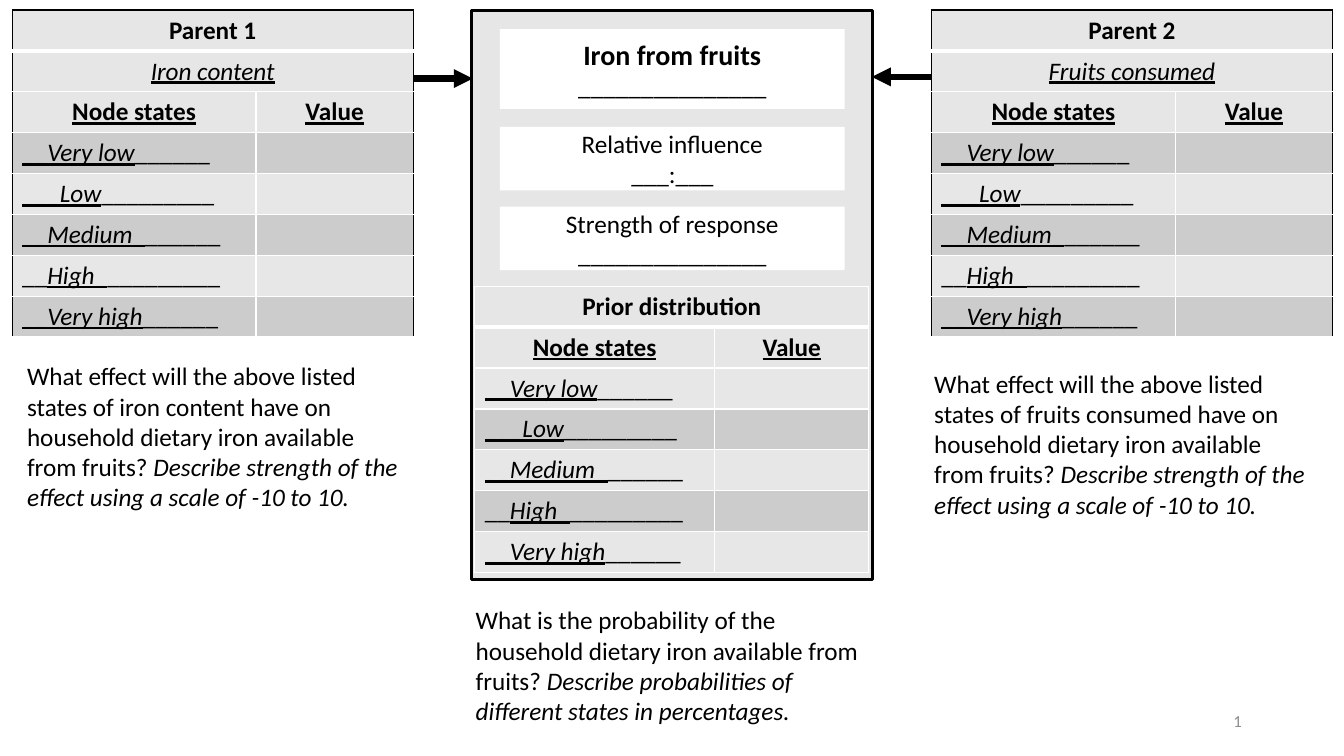
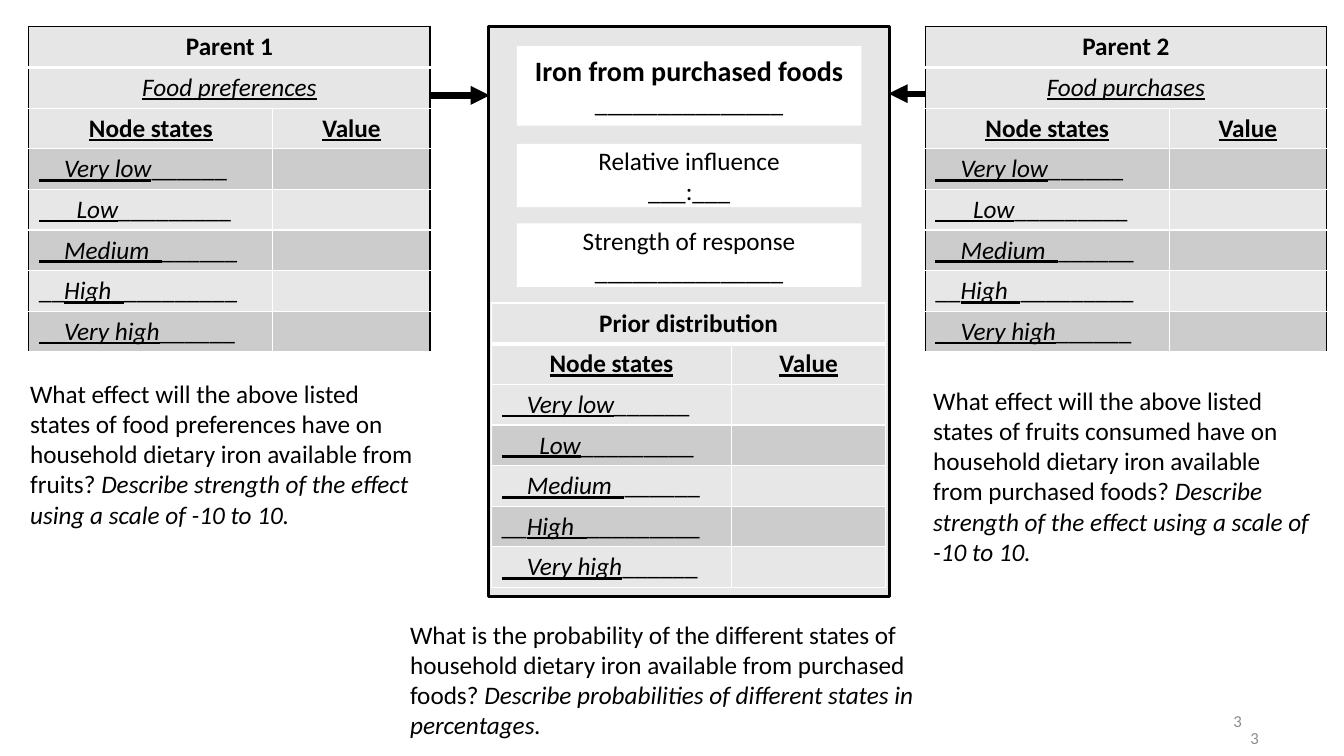
from dataclasses import dataclass, field

from lxml.etree import SubElement
from pptx import Presentation
from pptx.dml.color import RGBColor
from pptx.enum.shapes import MSO_CONNECTOR, MSO_SHAPE
from pptx.enum.text import MSO_ANCHOR, PP_ALIGN
from pptx.oxml.ns import qn
from pptx.util import Inches, Pt


@dataclass(frozen=True)
class Theme:
    font: str = "Calibri"
    black: str = "000000"
    white: str = "FFFFFF"
    panel: str = "E7E6E6"
    light: str = "E7E7E7"
    dark: str = "CCCCCC"
    number: str = "8C8C8C"
    styles: dict = field(default_factory=lambda: {
        "body": {"size": Pt(18)},
        "italic": {"size": Pt(18), "italic": True},
        "bold": {"size": Pt(18), "bold": True},
        "title": {"size": Pt(20), "bold": True},
        "heading": {"size": Pt(18), "bold": True, "underline": True},
        "entry": {"size": Pt(18), "italic": True, "underline": True},
        "number": {"size": Pt(12)},
    })


THEME = Theme()
SLIDE_WIDTH, SLIDE_HEIGHT = Inches(13.33), Inches(7.5)
COLUMNS, ROWS = 80, 45
TABLE_ROW = 2.42
PARENT_COLUMNS = (14.52, 9.36)
PRIOR_COLUMNS = (14.28, 9.18)
PANEL_LEFT, PANEL_WIDTH, PANEL_HEIGHT = 27.36, 23.88, 33.9
CARD_WIDTH = 20.52
PRIOR_LEFT, PRIOR_TOP = 27.54, 16.44
BLANK_LINE = "_" * 15
STATES = [
    [("__Very low", "entry"), ("_" * 6, "body")],
    [("___Low", "entry"), ("_" * 9, "body")],
    [("__Medium_", "entry"), ("_" * 6, "body")],
    [("__", "body"), ("High_", "entry"), ("_" * 9, "body")],
    [("__Very high", "entry"), ("_" * 6, "body")],
]
EFFECT_SCALE = "Describe strength of the effect using a scale of -10 to 10."
PERCENTAGES = "Describe probabilities of different states in percentages."

MODELS = [
    {
        "origin": (0.72, 0.6),
        "node": "Iron from fruits",
        "parents": [("Parent 1", "Iron content", 0.72), ("Parent 2", "Fruits consumed", 55.44)],
        "questions": [
            ("What is the probability of the household dietary iron available from fruits? ",
             PERCENTAGES, (27.72, 35.7, 24.42, 8.16)),
            ("What effect will the above listed states of fruits consumed have on household "
             "dietary iron available from fruits? ",
             EFFECT_SCALE, (55.02, 21.6, 23.76, 9.72)),
            ("What effect will the above listed states of iron content have on household "
             "dietary iron available from fruits? ",
             EFFECT_SCALE, (1.02, 21.18, 23.76, 11.52)),
        ],
        "numbers": [("1", (56.52, 41.7, 18, 2.4))],
    },
    {
        "origin": (1.72, 1.6),
        "node": "Iron from purchased foods",
        "parents": [("Parent 1", "Food preferences", 1.72), ("Parent 2", "Food purchases", 55.08)],
        "questions": [
            ("What is the probability of the different states of household dietary iron "
             "available from purchased foods? ",
             PERCENTAGES, (23.82, 36.54, 32.76, 7.86)),
            ("What effect will the above listed states of fruits consumed have on household "
             "dietary iron available from purchased foods? ",
             EFFECT_SCALE, (54.96, 22.62, 23.76, 11.52)),
            ("What effect will the above listed states of food preferences have on household "
             "dietary iron available from fruits? ",
             EFFECT_SCALE, (1.2, 22.2, 24.6, 9.72)),
        ],
        "numbers": [("3", (56.52, 41.7, 18, 2.4)), ("3", (57.52, 42.7, 18, 2.4))],
    },
]


def across(columns):
    return round(SLIDE_WIDTH * columns / COLUMNS)


def down(rows):
    return round(SLIDE_HEIGHT * rows / ROWS)


def place(left, top, width, height):
    return across(left), down(top), across(width), down(height)


def colour(value):
    return RGBColor.from_string(value)


def set_attributes(target, values):
    for name, value in values.items():
        setattr(target, name, value)


def paint(target, value):
    target.fill.solid()
    target.fill.fore_color.rgb = colour(value)


def write(paragraph, runs, align=PP_ALIGN.LEFT, ink=THEME.black):
    paragraph.alignment = align
    for text, style in runs:
        run = paragraph.add_run()
        run.text = text
        set_attributes(run.font, {"name": THEME.font, **THEME.styles[style]})
        run.font.color.rgb = colour(ink)


def add_text(slide, box, runs, align=PP_ALIGN.LEFT, anchor=MSO_ANCHOR.TOP, ink=THEME.black):
    frame = slide.shapes.add_textbox(*place(*box)).text_frame
    set_attributes(frame, {"word_wrap": True, "vertical_anchor": anchor})
    write(frame.paragraphs[0], runs, align, ink)


def add_rectangle(slide, box, fill):
    shape = slide.shapes.add_shape(MSO_SHAPE.RECTANGLE, *place(*box))
    shape.shadow.inherit = False
    paint(shape, fill)
    shape.line.fill.background()
    return shape


def add_card(slide, box, lines):
    frame = add_rectangle(slide, box, THEME.white).text_frame
    set_attributes(frame, {"word_wrap": True, "vertical_anchor": MSO_ANCHOR.MIDDLE})
    for index, line in enumerate(lines):
        paragraph = frame.add_paragraph() if index else frame.paragraphs[0]
        write(paragraph, [line], PP_ALIGN.CENTER)


def add_arrow(slide, start, end):
    connector = slide.shapes.add_connector(
        MSO_CONNECTOR.ELBOW, across(start[0]), down(start[1]), across(end[0]), down(end[1]))
    connector.line.width = Pt(4.5)
    connector.line.color.rgb = colour(THEME.black)
    SubElement(connector.line._get_or_add_ln(), qn("a:tailEnd"), type="triangle")
    SubElement(connector._element.spPr, qn("a:effectLst"))


def set_borders(cell, borders):
    properties = cell._tc.get_or_add_tcPr()
    for side in "LRTB":
        ink, width = borders.get(side, (THEME.white, 1))
        line = SubElement(properties, qn(f"a:ln{side}"), w=str(Pt(width)))
        SubElement(SubElement(line, qn("a:solidFill")), qn("a:srgbClr"), val=ink)


def add_states_table(slide, left, top, widths, headings, bands, outlined):
    centred = [[[heading]] for heading in headings]
    centred.append([[("Node states", "heading")], [("Value", "heading")]])
    rows = centred + [[state] for state in STATES]
    table = slide.shapes.add_table(
        len(rows), 2, *place(left, top, sum(widths), TABLE_ROW * len(rows))).table
    set_attributes(table, {"first_row": False, "horz_banding": False})
    for column, width in zip(table.columns, widths):
        column.width = across(width)
    for index, row in enumerate(rows):
        table.rows[index].height = down(TABLE_ROW)
        is_state = index >= len(centred)
        fill = bands[(index - len(centred)) % 2] if is_state else THEME.panel
        for position, cell in enumerate(table.rows[index].cells):
            borders = {}
            if outlined:
                borders["LR"[position]] = (THEME.black, 1)
                if index == 0:
                    borders["T"] = (THEME.black, 1)
            if index == 0:
                borders["B"] = (THEME.white, 3)
            elif index == 1:
                borders["T"] = (THEME.white, 3)
            if index < len(headings):
                borders["LR"[1 - position]] = borders.get("LR"[position], (THEME.white, 1))
            set_borders(cell, borders)
            paint(cell, fill)
            cell.text_frame.paragraphs[0].font.size = Pt(18)
        for position, runs in enumerate(row):
            write(table.cell(index, position).text_frame.paragraphs[0], runs,
                  PP_ALIGN.LEFT if is_state else PP_ALIGN.CENTER)
        if index < len(headings):
            table.cell(index, 0).merge(table.cell(index, 1))


def add_node_panel(slide, left, top, node):
    panel = add_rectangle(
        slide, (left + PANEL_LEFT, top, PANEL_WIDTH, PANEL_HEIGHT), THEME.panel)
    panel.line.width = Pt(2.25)
    panel.line.color.rgb = colour(THEME.black)
    card_left = left + PANEL_LEFT + (PANEL_WIDTH - CARD_WIDTH) / 2
    cards = [
        (6.96, 3.78, [("Relative influence", "body"), ("___:___", "body")]),
        (11.7, 3.78, [("Strength of response", "body"), (BLANK_LINE, "body")]),
        (1.14, 4.74, [(node, "title"), (BLANK_LINE, "body")]),
    ]
    for offset, height, lines in cards:
        add_card(slide, (card_left, top + offset, CARD_WIDTH, height), lines)


def add_model(slide, model):
    left, top = model["origin"]
    add_arrow(slide, (left + 18.06, top + 4.5), (left + 27.42, top + 4.08))
    add_arrow(slide, (left + 59.46, top + 4.08), (left + 51.18, top + 3.98))
    add_node_panel(slide, left, top, model["node"])
    for parent, topic, parent_left in model["parents"]:
        add_states_table(slide, parent_left, top, PARENT_COLUMNS,
                         [(parent, "bold"), (topic, "entry")],
                         (THEME.dark, THEME.light), True)
    add_states_table(slide, left + PRIOR_LEFT, top + PRIOR_TOP, PRIOR_COLUMNS,
                     [("Prior distribution", "bold")], (THEME.light, THEME.dark), False)
    for question, instruction, box in model["questions"]:
        add_text(slide, box, [(question, "body"), (instruction, "italic")])
    for number, box in model["numbers"]:
        add_text(slide, box, [(number, "number")], PP_ALIGN.RIGHT, MSO_ANCHOR.MIDDLE, THEME.number)


def main():
    presentation = Presentation()
    set_attributes(presentation, {"slide_width": SLIDE_WIDTH, "slide_height": SLIDE_HEIGHT})
    blank_layout = presentation.slide_layouts.get_by_name("Blank")
    for model in MODELS:
        add_model(presentation.slides.add_slide(blank_layout), model)
    presentation.save("out.pptx")


if __name__ == "__main__":
    main()
